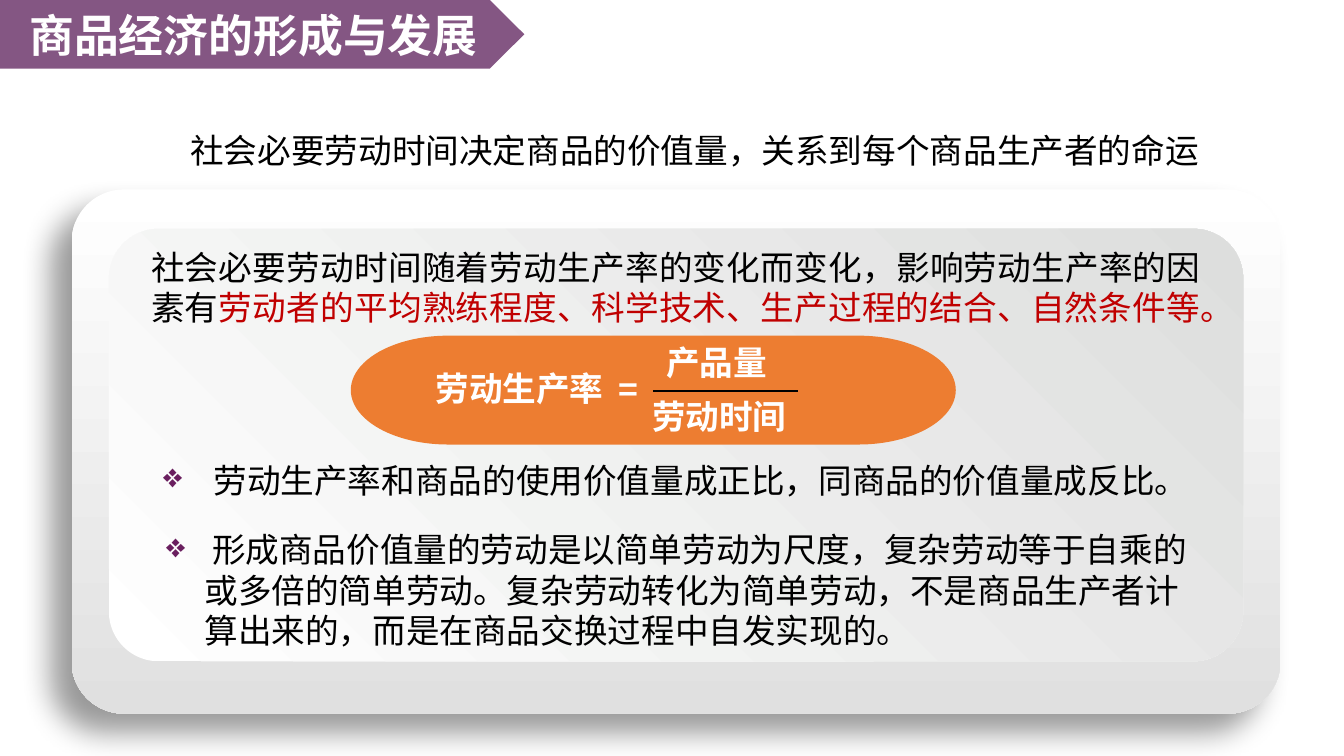
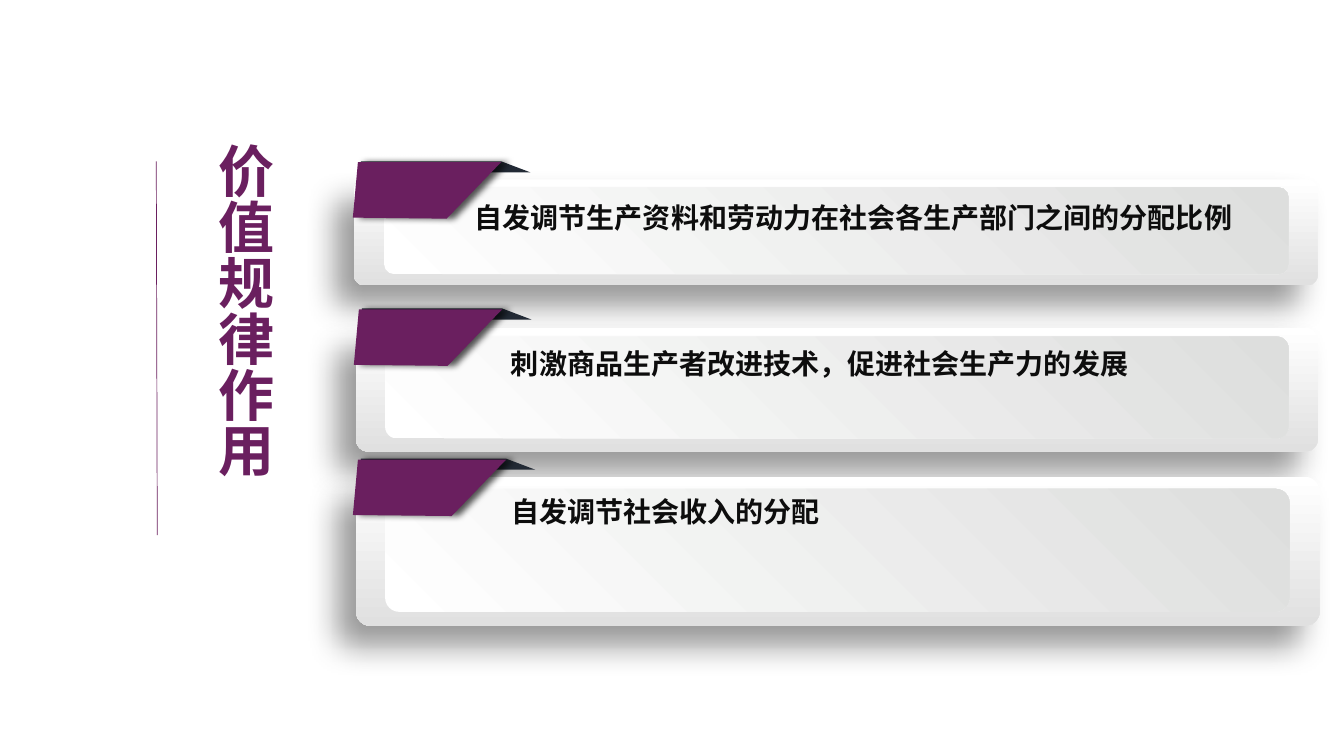
from lxml import etree
from pptx import Presentation
from pptx import util as u
from pptx.dml.color import RGBColor
from pptx.enum import shapes, text
from pptx.oxml.ns import qn

PX = 9144  # EMU per px, 100 px to the inch


class Theme:
    font = "Noto Sans CJK SC"
    purple, band, navy = "6A1F5F", "5A1B58", "222A35"
    orange, red = "ED7D31", "C00000"
    white, black, ink = "FFFFFF", "000000", "0D0D0D"
    panel_end, inset_end = "E0E0E0", "DDDEDD"
    vertical_size, title_size, body_size, item_size = 40, 32, 24, 20
    # colour, opacity %, blur pt, distance pt, direction in degrees
    panel_shadow = (black, 40, 22, 20, 135)
    ribbon_shadow = (black, 67, 5, 5, 0)


def px(*lengths):
    return [u.Emu(length * PX) for length in lengths]


def child(parent, tag, **attributes):
    values = {name: str(value) for name, value in attributes.items()}
    return etree.SubElement(parent, qn(tag), values)


class Deck:
    def __init__(self, width, height):
        self.presentation = Presentation()
        self.presentation.slide_width, self.presentation.slide_height = px(width, height)
        self.slide = None

    def new_slide(self):
        self.slide = self.presentation.slides.add_slide(self.presentation.slide_layouts[6])

    # Shapes
    def finish(self, shape, fill=None, shadow=None, opacity=None):
        shape.line.fill.background()
        shape.shadow.inherit = False
        if fill:
            shape.fill.solid()
            shape.fill.fore_color.rgb = RGBColor.from_string(fill)
        if opacity:
            color = shape._element.spPr.find(".//" + qn("a:srgbClr"))
            child(color, "a:alpha", val=opacity * 1000)
        if shadow:
            color, alpha, blur, distance, direction = shadow
            effects = shape._element.spPr.find(qn("a:effectLst"))
            outer = child(effects, "a:outerShdw", blurRad=u.Pt(blur), dist=u.Pt(distance),
                          dir=direction * 60000, algn="ctr", rotWithShape=0)
            child(child(outer, "a:srgbClr", val=color), "a:alpha", val=alpha * 1000)
        return shape

    def shape(self, kind, box, fill, opacity=None):
        shape = self.slide.shapes.add_shape(kind, *px(*box))
        return self.finish(shape, fill, opacity=opacity)

    def gradient_box(self, box, corner, end_color, angle, shadow=None):
        shape = self.slide.shapes.add_shape(shapes.MSO_SHAPE.ROUNDED_RECTANGLE, *px(*box))
        shape.adjustments[0] = corner
        shape.fill.gradient()
        shape.fill.gradient_angle = angle
        for stop, color in zip(shape.fill.gradient_stops, (Theme.white, end_color)):
            stop.color.rgb = RGBColor.from_string(color)
        return self.finish(shape, shadow=shadow)

    def panel(self, outer_box, inner_box):
        outer = self.gradient_box(outer_box, 0.1, Theme.panel_end, 270, Theme.panel_shadow)
        inner = self.gradient_box(inner_box, 0.115, Theme.inset_end, 45)
        self.slide.shapes.add_group_shape([outer, inner])

    def polygon(self, points, fill, shadow=None):
        builder = self.slide.shapes.build_freeform(*points[0], scale=float(PX))
        builder.add_line_segments(points[1:], close=True)
        self.finish(builder.convert_to_shape(), fill, shadow)

    def ribbon(self, left, top, width):
        right = left + width
        self.polygon([(left + 8, top - 1), (right, top - 1), (right + 29, top + 10),
                      (left + 8, top + 10)], Theme.navy)
        self.polygon([(left + 5, top), (right, top), (right - 54, top + 56),
                      (left, top + 55)], Theme.purple, Theme.ribbon_shadow)

    def line(self, start, end, color, width):
        line = self.slide.shapes.add_connector(shapes.MSO_CONNECTOR.STRAIGHT, *px(*start, *end))
        line.line.color.rgb = RGBColor.from_string(color)
        line.line.width = u.Pt(width)
        child(line._element.spPr, "a:effectLst")

    # Text
    def format_run(self, run, size, color, bold):
        run.font.size = u.Pt(size)
        run.font.bold = bold
        run.font.color.rgb = RGBColor.from_string(color)
        run.font.name = Theme.font
        child(run._r.get_or_add_rPr(), "a:ea", typeface=Theme.font)

    def label(self, box, wording, size=Theme.body_size, color=Theme.black, bold=False,
              align=text.PP_ALIGN.LEFT, spacing=None, hanging=None, accent=None):
        shape = self.slide.shapes.add_textbox(*px(*box))
        frame = shape.text_frame
        frame.word_wrap = True
        frame.auto_size = text.MSO_AUTO_SIZE.SHAPE_TO_FIT_TEXT
        frame.text = wording
        paragraph = frame.paragraphs[0]
        paragraph.alignment = align
        if spacing:
            paragraph.line_spacing = spacing
        if hanging:
            properties = paragraph._p.get_or_add_pPr()
            properties.set("marL", str(hanging * PX))
            properties.set("indent", str(-hanging * PX))
            child(child(properties, "a:buClr"), "a:srgbClr", val=Theme.purple)
            child(properties, "a:buChar", char="❖")
        self.format_run(paragraph.runs[0], size, color, bold)
        if accent:
            run = paragraph.add_run()
            run.text = accent
            self.format_run(run, size, Theme.red, bold)
        return shape

    def title(self, wording):
        band = self.shape(shapes.MSO_SHAPE.PENTAGON, (0, 0, 520, 68), Theme.band, opacity=74)
        frame = band.text_frame
        frame.text = wording
        frame.vertical_anchor = text.MSO_ANCHOR.MIDDLE
        frame.paragraphs[0].alignment = text.PP_ALIGN.CENTER
        self.format_run(frame.paragraphs[0].runs[0], Theme.title_size, Theme.white, True)


def labour_time_slide(deck):
    deck.new_slide()
    deck.title("商品经济的形成与发展")
    deck.panel((71, 188, 1199, 520), (108, 227, 1125, 429))
    deck.label((140, 240, 1061, 91),
               "社会必要劳动时间随着劳动生产率的变化而变化，影响劳动生产率的因素有",
               align=text.PP_ALIGN.JUSTIFY,
               accent="劳动者的平均熟练程度、科学技术、生产过程的结合、自然条件等。")
    deck.label((152, 451, 1046, 50),
               "劳动生产率和商品的使用价值量成正比，同商品的价值量成反比。", hanging=50)
    deck.label((179, 100, 1050, 75),
               "社会必要劳动时间决定商品的价值量，关系到每个商品生产者的命运", spacing=1.6)

    # Productivity formula
    deck.shape(shapes.MSO_SHAPE.FLOWCHART_TERMINATOR, (348, 333, 600, 108), Theme.orange)
    for left, top, width, term in ((422, 360, 191, "劳动生产率"), (604, 361, 106, "="),
                                   (651, 334, 173, "产品量"), (637, 388, 236, "劳动时间")):
        deck.label((left, top, width, 50), term, color=Theme.white, bold=True)
    deck.line((648, 388), (791, 388), Theme.black, 1.5)

    deck.label((155, 520, 1045, 131),
               " 形成商品价值量的劳动是以简单劳动为尺度，复杂劳动等于自乘的或多倍的简单劳动。"
               "复杂劳动转化为简单劳动，不是商品生产者计算出来的，而是在商品交换过程中自发实现的。",
               hanging=38)


def value_law_slide(deck):
    deck.new_slide()
    deck.line((155, 160), (156, 531), Theme.purple, 0.5)
    heading = deck.label((193, 132, 88, 458), "价值规律作用", Theme.vertical_size,
                         Theme.purple, bold=True)
    heading.text_frame._txBody.bodyPr.set("vert", "eaVert")

    # Panel, inset, ribbon (left, top, width), text box and wording of each effect
    effects = (
        ((351, 178, 956, 105), (381, 186, 897, 86), (350, 161, 147), (461, 194, 817, 44),
         "自发调节生产资料和劳动力在社会各生产部门之间的分配比例"),
        ((353, 325, 954, 123), (382, 334, 896, 101), (351, 307, 147), (497, 339, 750, 44),
         "刺激商品生产者改进技术，促进社会生产力的发展"),
        ((353, 473, 956, 148), (382, 485, 897, 122), (350, 456, 152), (497, 486, 781, 44),
         "自发调节社会收入的分配"),
    )
    for panel, inset, ribbon, box, wording in effects:
        deck.panel(panel, inset)
        deck.ribbon(*ribbon)
        deck.label(box, wording, Theme.item_size, Theme.ink, bold=True,
                   align=text.PP_ALIGN.JUSTIFY)


def main():
    deck = Deck(1333, 750)
    labour_time_slide(deck)
    value_law_slide(deck)
    deck.presentation.save("out.pptx")


if __name__ == "__main__":
    main()
